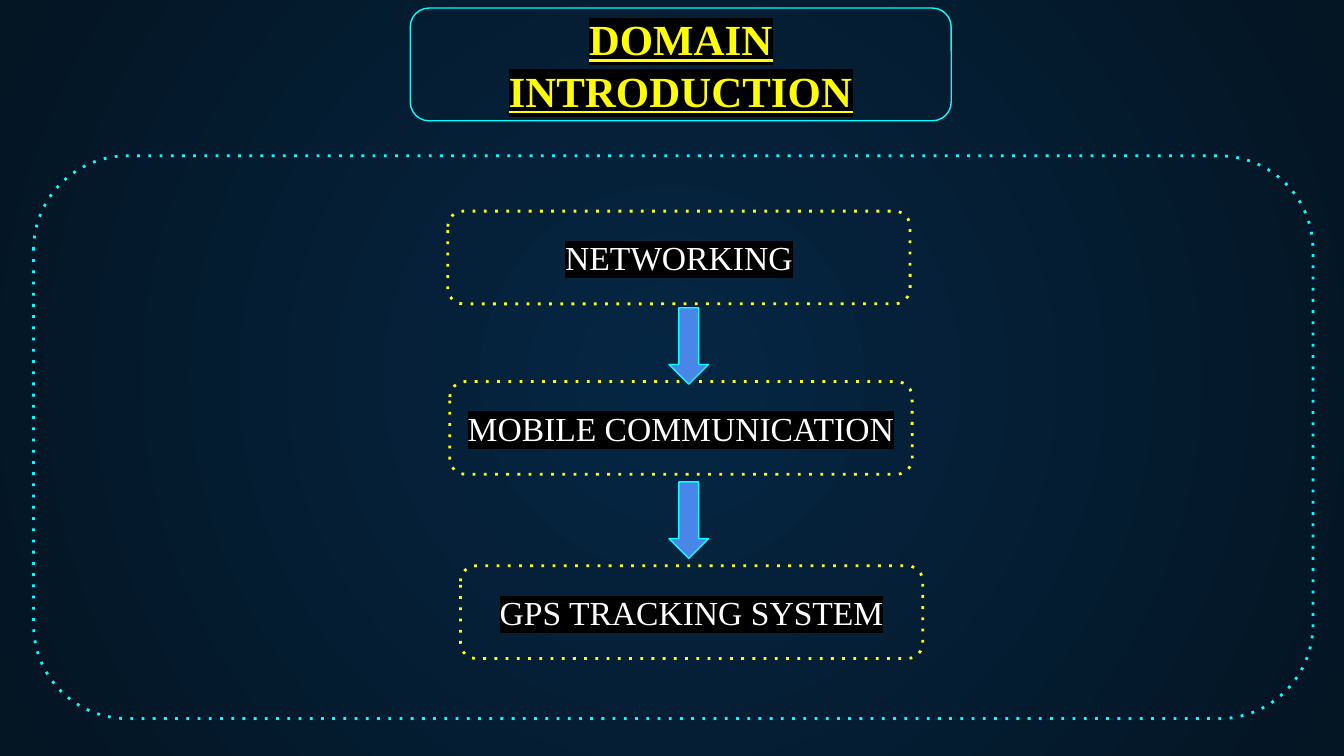
import pptx
import pptx.util
import pptx.dml.color
import pptx.enum.shapes
import pptx.enum.text
import pptx.oxml.ns
import lxml.etree

Pt = pptx.util.Pt
RGB = pptx.dml.color.RGBColor
KIND = pptx.enum.shapes.MSO_SHAPE
ALIGN = pptx.enum.text.PP_ALIGN
MID = pptx.enum.text.MSO_ANCHOR.MIDDLE
qn = pptx.oxml.ns.qn

NAVY = RGB(0x05, 0x26, 0x43)
DARK = RGB(0x04, 0x15, 0x23)
CYAN = RGB(0x00, 0xFF, 0xFF)
GOLD = RGB(0xFF, 0xFF, 0x00)
BLUE = RGB(0x4A, 0x86, 0xE8)
WHITE = RGB(0xFF, 0xFF, 0xFF)
BLACK = RGB(0x00, 0x00, 0x00)

deck = pptx.Presentation()
deck.slide_width, deck.slide_height = Pt(720), Pt(405)
slide = deck.slides.add_slide(deck.slide_layouts[6])


def draw(kind, left, top, width, height, hue, weight, fill=None, dots=False):
    shape = slide.shapes.add_shape(kind, Pt(left), Pt(top), Pt(width), Pt(height))
    shape.shadow.inherit = False
    if fill is None:
        shape.fill.background()
    else:
        shape.fill.solid()
        shape.fill.fore_color.rgb = fill
    shape.line.color.rgb = hue
    shape.line.width = Pt(weight)
    if dots:
        line = shape.element.spPr.find(qn("a:ln"))
        lxml.etree.SubElement(line, qn("a:prstDash"), val="dot")
    return shape


def write(shape, text, size, hue, strong=None):
    frame = shape.text_frame
    frame.word_wrap = True
    frame.margin_left = frame.margin_right = Pt(7.2)
    frame.margin_top = frame.margin_bottom = Pt(7.2)
    frame.vertical_anchor = MID
    para = frame.paragraphs[0]
    para.alignment = ALIGN.CENTER
    run = para.add_run()
    run.text = text
    font = run.font
    font.size, font.bold, font.underline = Pt(size), strong, strong
    font.color.rgb = hue
    # Black highlight sits between the fill and the typeface
    mark = lxml.etree.SubElement(run._r.get_or_add_rPr(), qn("a:highlight"))
    lxml.etree.SubElement(mark, qn("a:srgbClr"), val=str(BLACK))
    font.name = "Times New Roman"


# Background: gradient spreading from the centre
back = slide.background.fill
back.gradient()
for stop, hue, place in zip(back.gradient_stops, (NAVY, DARK), (0, 1)):
    stop.color.rgb = hue
    stop.position = place
grad = slide.element.find(".//" + qn("a:gradFill"))
grad.remove(grad.find(qn("a:lin")))
ring = lxml.etree.SubElement(grad, qn("a:path"), attrib={"path": "circle"})
lxml.etree.SubElement(ring, qn("a:fillToRect"),
                      attrib={side: "50000" for side in "ltrb"})

# Outer frame and title
draw(KIND.ROUNDED_RECTANGLE, 18, 83.5, 685.4, 301.5, CYAN, 1.5, dots=True)
title = draw(KIND.ROUNDED_RECTANGLE, 219.8, 4.3, 289.8, 60.4, CYAN, 0.75)
write(title, "DOMAIN INTRODUCTION", 23, GOLD, True)

# Topic boxes; the first has its label in a text box of its own
topics = [
    (239.9, 113.1, None),
    (241, 204.4, "MOBILE COMMUNICATION"),
    (246.7, 303.1, "GPS TRACKING SYSTEM"),
]
for left, top, text in topics:
    box = draw(KIND.ROUNDED_RECTANGLE, left, top, 247.7, 49.7, GOLD, 1.5, dots=True)
    if text:
        write(box, text, 18, WHITE)

# Arrows between the topics
for top in (164.9, 258.2):
    draw(KIND.DOWN_ARROW, 358.4, top, 21.2, 41, CYAN, 0.75, fill=BLUE)

# Label of the first topic
label = slide.shapes.add_textbox(Pt(252.7), Pt(119.9), Pt(222), Pt(36))
write(label, "NETWORKING", 18, WHITE)

deck.save("out.pptx")
